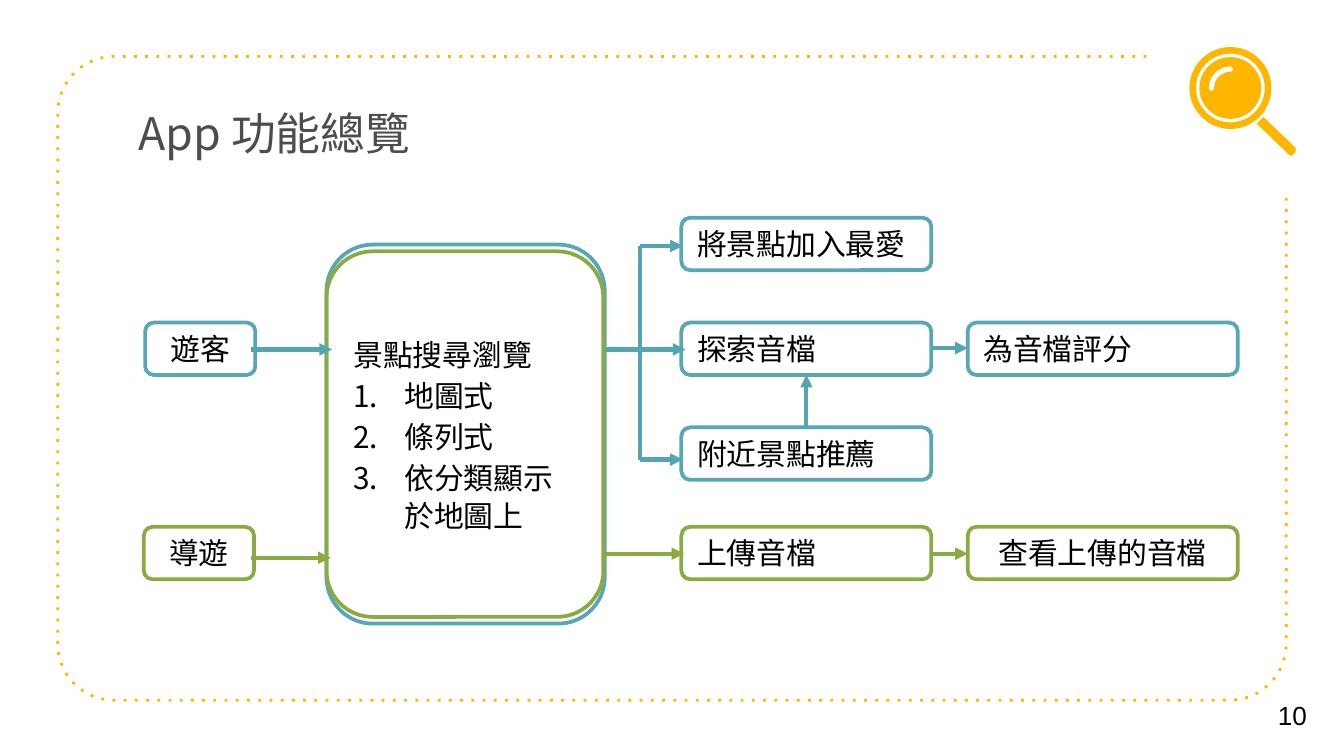
import math
from lxml import etree
from pptx import Presentation
from pptx.dml.color import RGBColor
from pptx.enum.shapes import MSO_CONNECTOR, MSO_SHAPE
from pptx.enum.text import MSO_ANCHOR, PP_ALIGN
from pptx.oxml.ns import qn
from pptx.util import Inches, Pt

ROUND, DONUT = MSO_SHAPE.ROUNDED_RECTANGLE, MSO_SHAPE.DONUT
STRAIGHT = MSO_CONNECTOR.STRAIGHT
LEFT, CENTER = PP_ALIGN.LEFT, PP_ALIGN.CENTER
TOP, MIDDLE = MSO_ANCHOR.TOP, MSO_ANCHOR.MIDDLE
CJK = "Noto Sans CJK TC"
COLORS = {"amber": "FFB600", "teal": "57A7B5", "teal_line": "53A5B3",
          "green": "8BAB42", "white": "FFFFFF", "black": "000000",
          "title": "4D4D4D"}


def rgb(name):
    return RGBColor.from_string(COLORS[name])


def paint(sp, fill=None, line=None, width=2):
    sp.shadow.inherit = False
    if fill:
        sp.fill.solid()
        sp.fill.fore_color.rgb = rgb(fill)
    else:
        sp.fill.background()
    if line:
        sp.line.color.rgb = rgb(line)
        sp.line.width = Pt(width)
    else:
        sp.line.fill.background()


def write(p, text, size=16, color="black", font=CJK, align=LEFT):
    p.alignment = align
    r = p.add_run()
    r.text = text
    r.font.size = Pt(size)
    r.font.color.rgb = rgb(color)
    r.font.name = font
    ea = etree.SubElement(r._r.get_or_add_rPr(), qn("a:ea"))
    ea.set("typeface", font)


def add_text(s, box, text, anchor=TOP, **fmt):
    tf = s.shapes.add_textbox(*map(Inches, box)).text_frame
    tf.word_wrap = True
    tf.vertical_anchor = anchor
    tf.margin_left = tf.margin_right = Inches(0.1)
    tf.margin_top = tf.margin_bottom = Inches(0.1)
    write(tf.paragraphs[0], text, **fmt)


def arc(cx, cy, radius, start, end, steps=16):
    angles = [math.radians(start + (end - start) * i / steps)
              for i in range(steps + 1)]
    return [(cx + radius * math.cos(a), cy + radius * math.sin(a))
            for a in angles]


def add_outline(s, contours, closed=True):
    scaled = [[(Inches(x), Inches(y)) for x, y in c] for c in contours]
    builder = s.shapes.build_freeform(*scaled[0][0], scale=1.0)
    for i, points in enumerate(scaled):
        if i:
            builder.move_to(*points[0])
        builder.add_line_segments(points[1:], close=closed)
    return builder.convert_to_shape()


def add_frame(s, x, y, w, h, radius=0.42):
    left, right = x + radius, x + w - radius
    top, bottom = y + radius, y + h - radius
    points = [(x + w - 1.04, y)]
    points += arc(left, top, radius, 270, 180)
    points += arc(left, bottom, radius, 180, 90)
    points += arc(right, bottom, radius, 90, 0)
    points.append((x + w, y + 1.04))
    sp = add_outline(s, [points], closed=False)
    paint(sp, line="amber", width=1.5)
    etree.SubElement(sp.line._get_or_add_ln(), qn("a:prstDash"), val="dot")


def add_magnifier(s, x, y, d):
    ring = s.shapes.add_shape(DONUT, *map(Inches, (x, y, d, d)))
    ring.adjustments[0] = 0.08
    cx, cy = x + d / 2, y + d / 2
    glint, half = 0.14, 0.02
    shine = (arc(cx, cy, glint + half, 180, 270)
             + arc(cx, cy - glint, half, 270, 450)
             + arc(cx, cy, glint - half, 270, 180)
             + arc(cx - glint, cy, half, 0, 180))
    lens = add_outline(s, [arc(cx, cy, 0.23, 0, 360, 48), shine])
    grip = [(0.55, 0.52), (0.5, 0.57), (0.74, 0.8), (0.76, 0.81),
            (0.79, 0.78), (0.79, 0.75)]
    handle = add_outline(s, [[(x + dx, y + dy) for dx, dy in grip]])
    for sp in (ring, lens, handle):
        paint(sp, fill="amber")


def add_box(s, box, line, fill="white", text=None, align=LEFT):
    sp = s.shapes.add_shape(ROUND, *map(Inches, box))
    paint(sp, fill, line)
    tf = sp.text_frame
    tf.vertical_anchor = MIDDLE
    if text:
        write(tf.paragraphs[0], text, align=align)
    return tf


def add_line(s, x1, y1, x2, y2, color="teal_line", arrow=True):
    line = s.shapes.add_connector(STRAIGHT, *map(Inches, (x1, y1, x2, y2)))
    line.line.color.rgb = rgb(color)
    line.line.width = Pt(2.25)
    if arrow:
        etree.SubElement(line.line._get_or_add_ln(), qn("a:tailEnd"), type="triangle")
    etree.SubElement(line._element.spPr, qn("a:effectLst"))


def add_browse_panel(s, x, y, w, h):
    tf = add_box(s, (x, y, w, h), "teal", text="景點搜尋瀏覽")
    tf.paragraphs[0].line_spacing = Pt(20)
    for item in ("地圖式", "條列式", "依分類顯示於地圖上"):
        p = tf.add_paragraph()
        p.line_spacing = Pt(20)
        p.space_before = Pt(2)
        pPr = p._p.get_or_add_pPr()
        pPr.set("marL", str(Inches(0.38)))
        pPr.set("indent", str(-Inches(0.38)))
        etree.SubElement(pPr, qn("a:buFont"), typeface=CJK)
        etree.SubElement(pPr, qn("a:buAutoNum"), type="arabicPeriod")
        write(p, item)
    add_box(s, (x, y + 0.05, w - 0.01, h - 0.1), "green", fill=None)


def add_flow(s, x, y):
    visitor, guide = (x, 0.82), (x - 0.01, 0.82)
    feature, result = (x + 3.99, 1.86), (x + 6.12, 2.01)
    favourite, explore, nearby, upload = y, y + 0.78, y + 1.56, y + 2.3
    boxes = [
        (visitor, explore, "teal", "遊客", CENTER),
        (guide, upload, "green", "導遊", CENTER),
        (feature, favourite, "teal", "將景點加入最愛", LEFT),
        (feature, explore, "teal", "探索音檔", LEFT),
        (feature, nearby, "teal", "附近景點推薦", LEFT),
        (result, explore, "teal", "為音檔評分", LEFT),
        (feature, upload, "green", "上傳音檔", LEFT),
        (result, upload, "green", "查看上傳的音檔", CENTER),
    ]
    for (left, w), top, line, text, align in boxes:
        add_box(s, (left, top, w, 0.39), line, text=text, align=align)
    add_browse_panel(s, x + 1.35, y + 0.2, 2.07, 2.82)

    trunk = x + 3.68
    arrows = [
        (x + 0.79, x + 1.39, y + 0.98, "teal_line"),
        (x + 3.42, x + 4.02, y + 0.98, "teal_line"),
        (trunk, x + 4, y + 1.8, "teal_line"),
        (trunk, x + 4, y + 0.21, "teal_line"),
        (x + 5.85, x + 6.12, y + 0.97, "teal_line"),
        (x + 0.79, x + 1.38, y + 2.53, "green"),
        (x + 3.42, x + 4.01, y + 2.5, "green"),
        (x + 5.85, x + 6.12, y + 2.5, "green"),
    ]
    for start, end, level, color in arrows:
        add_line(s, start, level, end, level, color)
    add_line(s, trunk, y + 0.21, trunk, y + 1.8, arrow=False)
    add_line(s, x + 4.92, nearby, x + 4.92, explore + 0.39)


def main():
    prs = Presentation()
    prs.slide_width, prs.slide_height = Inches(10), Inches(10) * 9 // 16
    s = prs.slides.add_slide(prs.slide_layouts[6])
    add_frame(s, 0.43, 0.42, 9.14, 4.79)
    add_text(s, (9.41, 5.02, 0.59, 0.6), "10", MIDDLE, size=14, font="Arial")
    add_magnifier(s, 8.85, 0.35, 0.61)
    add_text(s, (0.93, 0.69, 7.51, 0.66), "App 功能總覽", size=24, color="title")
    add_flow(s, 1.08, 1.62)
    prs.save("out.pptx")


if __name__ == "__main__":
    main()
